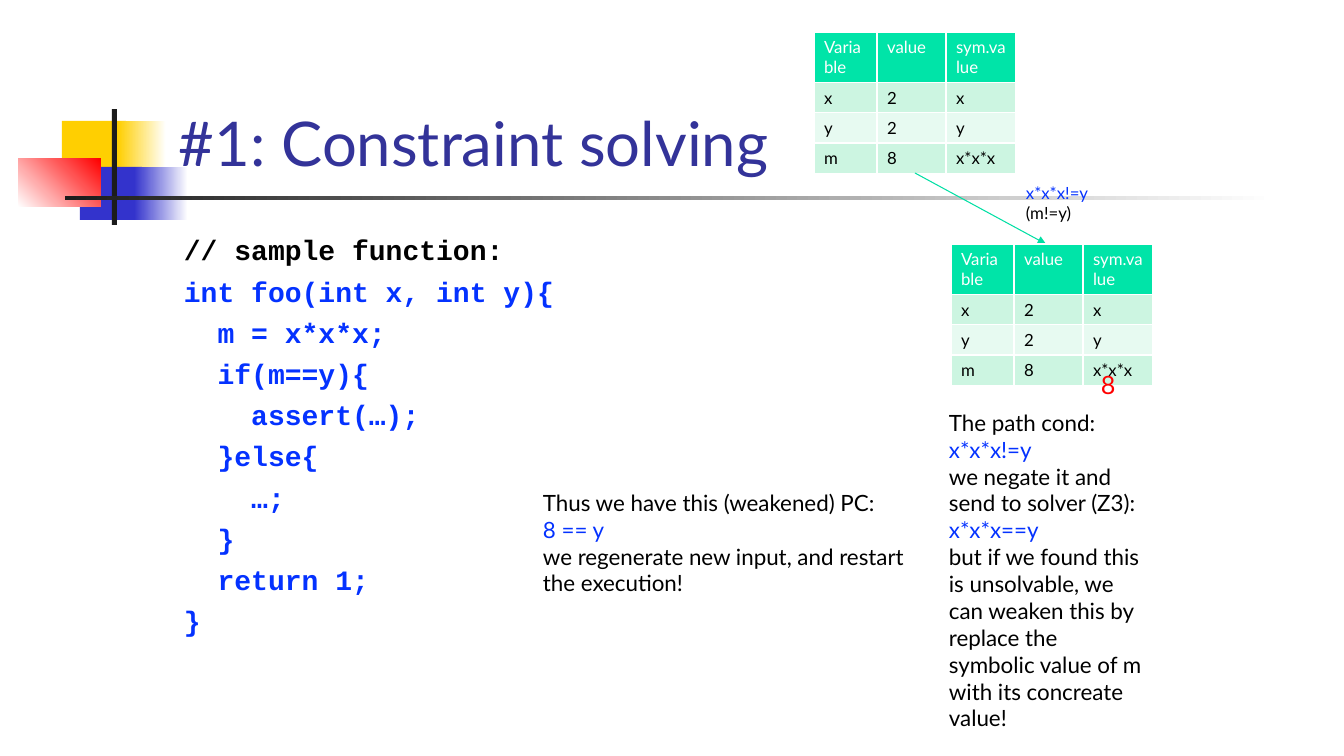
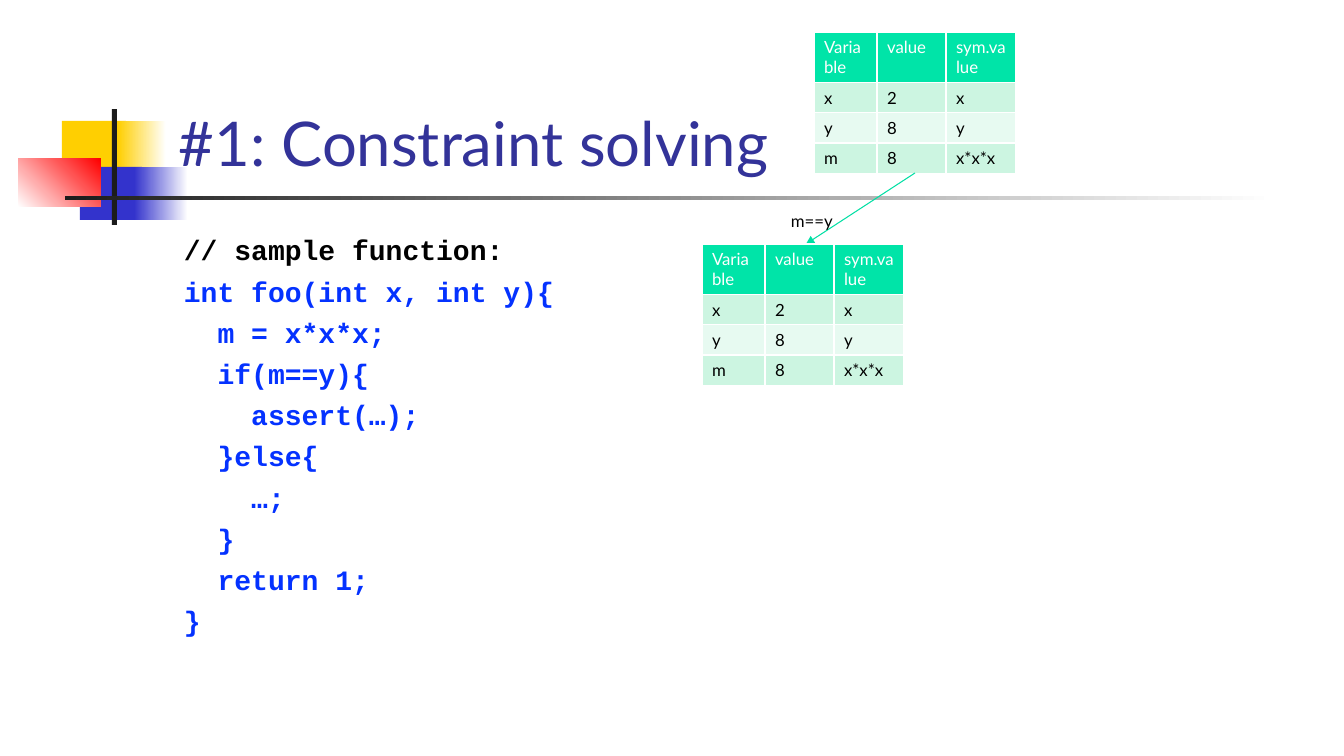
"""Build two slides on constraint solving."""
import dataclasses

import pptx
import pptx.dml.color
import pptx.enum.shapes
import pptx.enum.text
import pptx.oxml
import pptx.oxml.ns
import pptx.util

PX = 914400 / 100.8
SANS, MONO = "Lato", "Courier New"
BLACK, WHITE, BLUE, RED = "000000", "FFFFFF", "0432FF", "FF0000"
NAVY, INDIGO, GOLD, DARK = "333399", "3333CC", "FFCF01", "1C1C1C"
HEAD, BANDS, ARROW = "00E4A8", ("CCF5E1", "E7FAF1"), "00DFA4"
DECOR = [
    ((62, 121, 64, 52), (GOLD,), 0),
    ((118, 121, 48, 52), (GOLD, WHITE), 0),
    ((80, 167, 62, 53), (INDIGO,), 0),
    ((134, 167, 54, 53), (INDIGO, WHITE), 0),
    ((18, 159, 83, 48), (WHITE, RED), 45),
    ((112, 109, 5, 116), (DARK,), 0),
    ((65, 196, 1210, 4), (DARK, WHITE), 0),
]
CODE = """int foo(int x, int y){
  m = x*x*x;
  if(m==y){
    assert(…);
  }else{
    …;
  }
  return 1;
}"""


def px(num):
    """Turn px into EMU."""
    return pptx.util.Emu(round(num * PX))


def rgb(code):
    """Turn a hex string into a colour."""
    return pptx.dml.color.RGBColor.from_string(code)


def node(base, xml):
    """Append an element in the drawing namespace."""
    space = pptx.oxml.ns.nsdecls("a")
    base.append(pptx.oxml.parse_xml(xml.replace("/>", f" {space}/>", 1)
                                    if xml.endswith("/>") and xml.count("<") == 1
                                    else xml.replace(">", f" {space}>", 1)))


def write(frame, *lines, size=12, font=SANS, bold=False, gap=0):
    """Write (text, colour) lines as paragraphs."""
    for pos, (text, tint) in enumerate(lines):
        para = frame.add_paragraph() if pos else frame.paragraphs[0]
        para.space_before = pptx.util.Pt(gap if pos else 0)
        run = para.add_run()
        run.text = text
        run.font.name = font
        run.font.size = pptx.util.Pt(size)
        run.font.bold = bold
        run.font.color.rgb = rgb(tint)


@dataclasses.dataclass
class Deck:
    """Hold the style and the current slide."""
    file: object
    slide: object = None

    def page(self, title):
        """Start a slide with the shared decor, title and code."""
        self.slide = self.file.slides.add_slide(self.file.slide_layouts[6])
        for area, tints, turn in DECOR:
            self.block(area, tints, turn)
        self.text((169, 23, 1145, 161), (title, NAVY), size=44, low=True)
        code = [(line, BLUE) for line in CODE.splitlines()]
        self.text((174, 228, 1142, 454), ("// sample function:", BLACK), *code,
                  size=20, font=MONO, bold=True, gap=5.4)

    def block(self, area, tints, turn):
        """Add a plain or graded rectangle."""
        kind = pptx.enum.shapes.MSO_SHAPE.RECTANGLE
        shape = self.slide.shapes.add_shape(kind, *map(px, area))
        shape.shadow.inherit = False
        shape.line.fill.background()
        if len(tints) == 1:
            shape.fill.solid()
            shape.fill.fore_color.rgb = rgb(tints[0])
            return
        shape.fill.gradient()
        shape.fill.gradient_angle = turn
        for stop, tint in zip(shape.fill.gradient_stops, tints):
            stop.color.rgb = rgb(tint)

    def text(self, area, *lines, low=False, **form):
        """Add a wrapped text box."""
        frame = self.slide.shapes.add_textbox(*map(px, area)).text_frame
        frame.word_wrap = True
        if low:
            frame.vertical_anchor = pptx.enum.text.MSO_ANCHOR.BOTTOM
        write(frame, *lines, **form)

    def table(self, left, top, y):
        """Add a table of variable states."""
        rows = [("Variable", "value", "sym.value"),
                ("x", "2", "x"), ("y", y, "y"), ("m", "8", "x*x*x")]
        wide, high = (63, 69, 70), (50, 30, 30, 30)
        area = (left, top, sum(wide), sum(high))
        grid = self.slide.shapes.add_table(4, 3, *map(px, area)).table
        grid.horz_banding = False
        for col, size in zip(grid.columns, wide):
            col.width = px(size)
        for r, (row, size) in enumerate(zip(rows, high)):
            grid.rows[r].height = px(size)
            for c, word in enumerate(row):
                cell = grid.cell(r, c)
                write(cell.text_frame, (word, BLACK if r else WHITE))
                for side in "LRTB":
                    node(cell._tc.get_or_add_tcPr(),
                         f'<a:ln{side} w="12700"><a:solidFill><a:srgbClr val="{WHITE}"/>'
                         f'</a:solidFill></a:ln{side}>')
                cell.fill.solid()
                cell.fill.fore_color.rgb = rgb(BANDS[(r - 1) % 2] if r else HEAD)

    def arrow(self, *ends):
        """Add an arrow between two points."""
        kind = pptx.enum.shapes.MSO_CONNECTOR.STRAIGHT
        line = self.slide.shapes.add_connector(kind, *map(px, ends))
        line.line.width = pptx.util.Pt(0.75)
        line.line.color.rgb = rgb(ARROW)
        node(line.line._get_or_add_ln(), '<a:tailEnd type="triangle"/>')
        node(line._element.spPr, "<a:effectLst/>")


def main():
    """Build and save both slides."""
    file = pptx.Presentation()
    file.slide_width, file.slide_height = px(1344), px(756)
    deck = Deck(file)
    title = "#1: Constraint solving"

    deck.page(title)
    deck.table(814, 32, "2")
    deck.arrow(915, 173, 1046, 244)
    deck.text((1016, 178, 126, 50), ("x*x*x!=y", BLUE), ("(m!=y)", BLACK))
    deck.text((939, 404, 216, 336),
              ("The path cond:", BLACK),
              ("x*x*x!=y", BLUE),
              ("we negate it and send to solver (Z3):", BLACK),
              ("x*x*x==y", BLUE),
              ("but if we found this is unsolvable, we can weaken this by replace "
               "the symbolic value of m with its concreate value!", BLACK), size=16)
    deck.table(951, 244, "2")
    deck.text((1091, 364, 64, 40), ("8", RED), size=18)
    deck.text((533, 484, 388, 119),
              ("Thus we have this (weakened) PC:", BLACK),
              ("8 == y", BLUE),
              ("we regenerate new input, and restart the execution!", BLACK), size=16)

    deck.page(title)
    deck.table(814, 32, "8")
    deck.arrow(915, 173, 806, 244)
    deck.text((781, 206, 126, 30), ("m==y", BLACK))
    deck.table(702, 244, "8")
    file.save("out.pptx")


if __name__ == "__main__":
    main()
